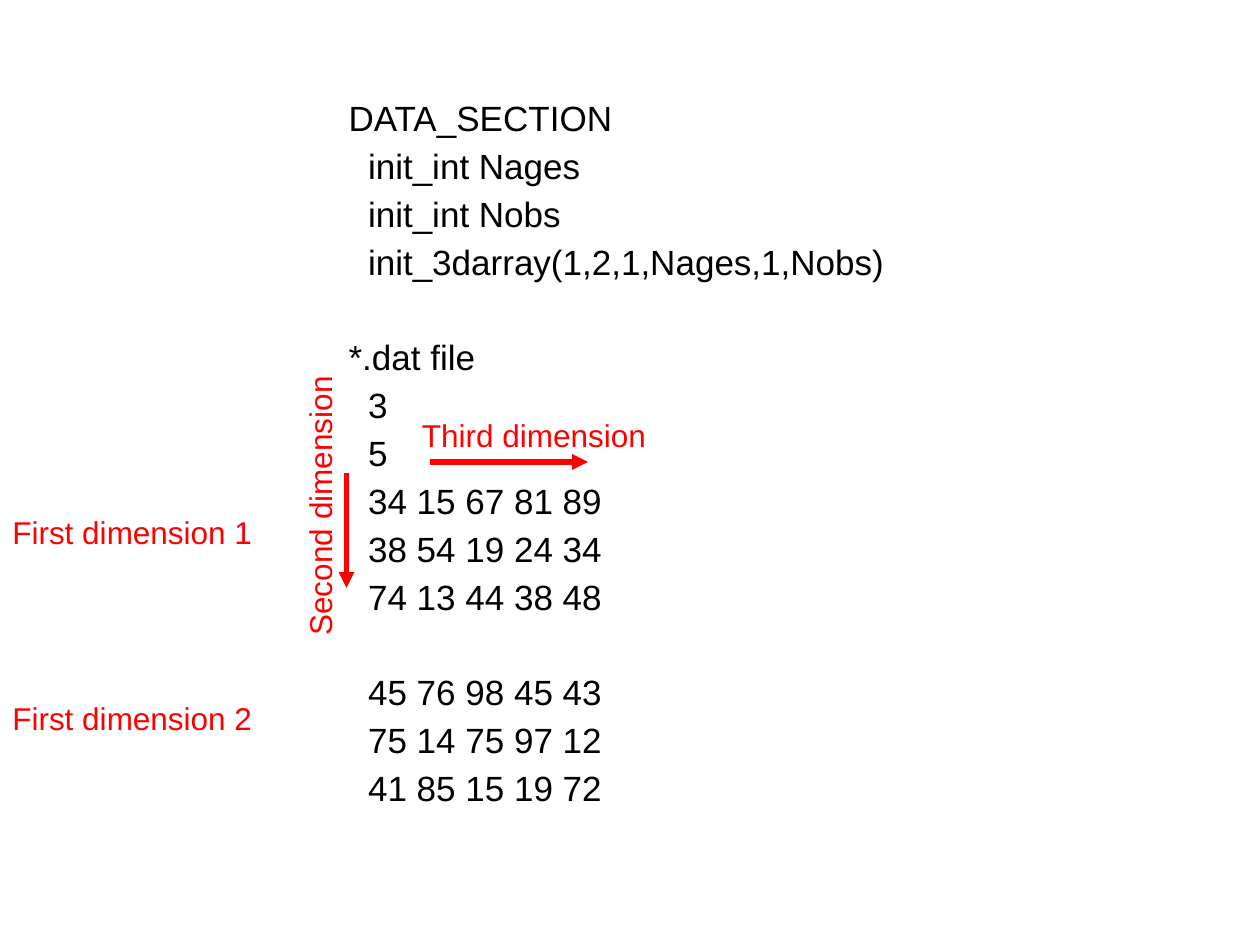
from lxml.etree import SubElement
from pptx import Presentation
from pptx.dml.color import RGBColor
from pptx.enum.shapes import MSO_CONNECTOR
from pptx.enum.text import MSO_ANCHOR, MSO_AUTO_SIZE
from pptx.oxml.ns import qn
from pptx.util import Pt

FONT = "Arial"
BLACK, RED = "000000", "FF0000"
STEP, GAP = 11.12, 5.9  # code indent and space between lines
BLANK = 32.5            # space above a new block

# Text, indent level, space before
CODE = [
    ("DATA_SECTION", 0, GAP),
    ("init_int Nages", 1, GAP),
    ("init_int Nobs", 1, GAP),
    ("init_3darray(1,2,1,Nages,1,Nobs)", 1, GAP),
    ("*.dat file", 0, BLANK),
    ("3", 1, GAP),
    ("5", 1, GAP),
    ("34 15 67 81 89", 1, GAP),
    ("38 54 19 24 34", 1, GAP),
    ("74 13 44 38 48", 1, GAP),
    ("45 76 98 45 43", 1, BLANK),
    ("75 14 75 97 12", 1, GAP),
    ("41 85 15 19 72", 1, GAP),
]

# Text, left, top, width, rotation
LABELS = [
    ("Second dimension", 72.5, 245.5, 220.5, 270),
    ("Third dimension", 234, 234, 184, 0),
    ("First dimension 1", 0, 289.5, 160, 0),
    ("First dimension 2", 0, 396, 160, 0),
]

# Start x, start y, end x, end y
ARROWS = [(198, 270, 198, 336), (246, 264, 336, 264)]


def color(code):
    return RGBColor.from_string(code)


def style(para, size, code):
    for run in para.runs:
        run.font.name = FONT
        run.font.size = Pt(size)
        run.font.color.rgb = color(code)


def listing(body):
    body.left, body.top = Pt(192), Pt(54)
    body.width, body.height = Pt(618), Pt(414)
    frame = body.text_frame
    frame.auto_size = MSO_AUTO_SIZE.NONE
    frame.vertical_anchor = MSO_ANCHOR.TOP
    frame.text = "\n".join(text for text, _, _ in CODE)
    for para, (_, level, space) in zip(frame.paragraphs, CODE):
        para.line_spacing = 0.9
        para.space_before = Pt(space)
        props = para._p.get_or_add_pPr()
        props.set("marL", str(Pt(level * STEP)))
        props.set("indent", "0")
        SubElement(props, qn("a:buNone"))
        style(para, 20, BLACK)


def label(slide, text, left, top, width, turn):
    box = slide.shapes.add_textbox(Pt(left), Pt(top), Pt(width), Pt(29))
    box.rotation = turn
    box.text_frame.word_wrap = True
    box.text_frame.text = text
    style(box.text_frame.paragraphs[0], 18, RED)


def arrow(slide, *ends):
    link = slide.shapes.add_connector(
        MSO_CONNECTOR.STRAIGHT, *(Pt(end) for end in ends))
    link.line.color.rgb = color(RED)
    link.line.width = Pt(3)
    SubElement(link.line._get_or_add_ln(), qn("a:tailEnd"), type="triangle")
    SubElement(link._element.spPr, qn("a:effectLst"))


def main():
    deck = Presentation()
    deck.slide_width, deck.slide_height = Pt(720), Pt(540)
    slide = deck.slides.add_slide(deck.slide_layouts[1])

    # The slide has no title
    title = slide.shapes.title._element
    title.getparent().remove(title)

    # Code and data
    listing(slide.placeholders[1])

    # Dimension marks
    for ends in ARROWS:
        arrow(slide, *ends)
    for item in LABELS:
        label(slide, *item)

    deck.save("out.pptx")


if __name__ == "__main__":
    main()
